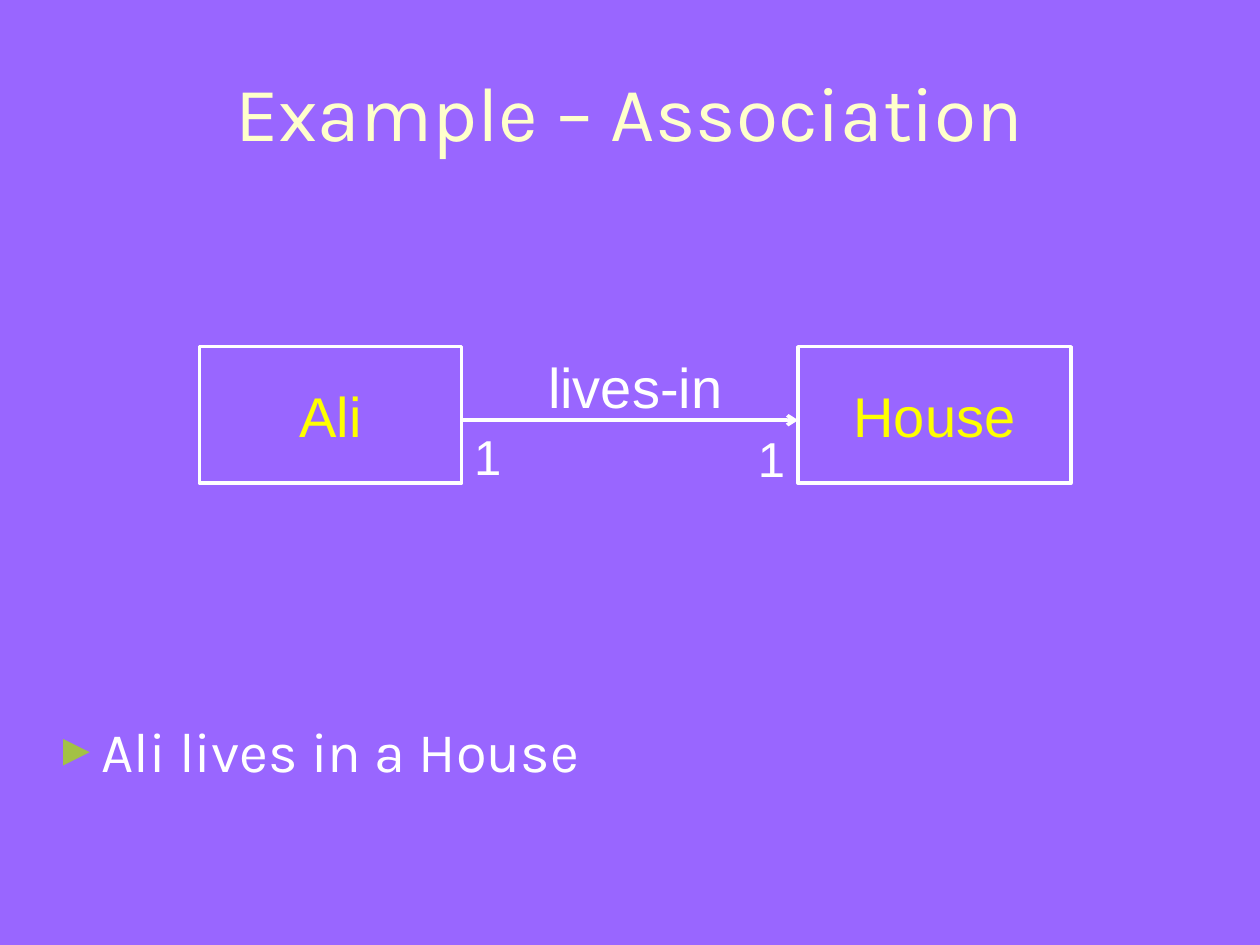
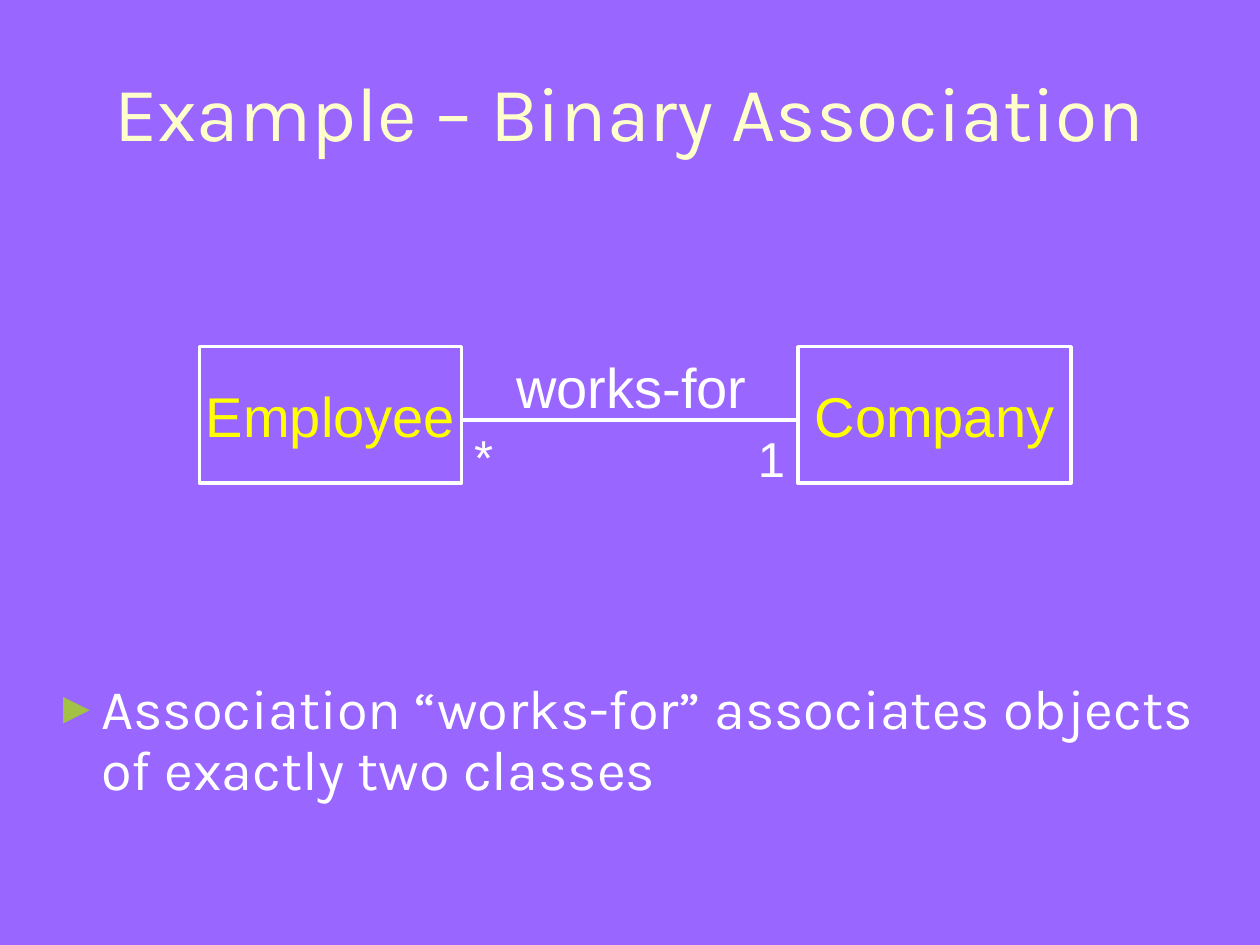
from lxml import etree
from pptx import Presentation
from pptx import util as u
from pptx.dml.color import RGBColor
from pptx.enum import shapes, text
from pptx.oxml import ns

COLORS = {
    "background": "9966FF",
    "title": "FFFFCC",
    "plain": "FFFFFF",
    "class": "FFFF00",
    "bullet": "A3C145",
}
FORMATS = {
    "title": {"name": "Karla", "size": u.Pt(44)},
    "body": {"name": "Karla", "size": u.Pt(32)},
    "label": {"name": "Arial", "size": u.Pt(32)},
    "multiplicity": {"name": "Arial", "size": u.Pt(28)},
}
MARGIN, CONTENT_WIDTH = 0.84, 23.72
BOX_TOP, BOX_HEIGHT = 6.99, 2.75
LEFT_BOX, LEFT_WIDTH = 4.02, 5.29
RIGHT_BOX, RIGHT_WIDTH = 16.09, 5.5
LINE_START, LINE_Y = LEFT_BOX + LEFT_WIDTH, 8.47

DIAGRAMS = [
    {
        "title": "Example – Association",
        "classes": ("Ali", "House"),
        "association": ("lives-in", 10.8, 4.02),
        "multiplicities": ("1", "1"),
        "arrow": True,
        "body": ("Ali lives in a House", 14.32, 1.68, 1.0),
    },
    {
        "title": "Example – Binary Association",
        "classes": ("Employee", "Company"),
        "association": ("works-for", 10.16, 5.29),
        "multiplicities": ("*", "1"),
        "arrow": False,
        "body": ("Association “works-for” associates objects of exactly two classes",
                 13.61, 2.82, 0.9),
    },
]


def place(shape, left, top, width, height):
    bounds = {"left": left, "top": top, "width": width, "height": height}
    for name, value in bounds.items():
        setattr(shape, name, u.Cm(value))


def write(shape, words, style, color, **frame_values):
    """Put one formatted paragraph into a shape and return the paragraph."""
    frame = shape.text_frame
    frame.text = words
    settings = {"word_wrap": True, "auto_size": text.MSO_AUTO_SIZE.NONE,
                "vertical_anchor": text.MSO_ANCHOR.TOP, **frame_values}
    for name, value in settings.items():
        setattr(frame, name, value)
    paragraph = frame.paragraphs[0]
    paragraph.space_before = u.Pt(0)
    font = paragraph.runs[0].font
    for name, value in FORMATS[style].items():
        setattr(font, name, value)
    font.color.rgb = RGBColor.from_string(COLORS[color])
    return paragraph


presentation = Presentation()
presentation.slide_width, presentation.slide_height = u.Cm(25.4), u.Cm(19.05)
background = presentation.slide_master.background.fill
background.solid()
background.fore_color.rgb = RGBColor.from_string(COLORS["background"])
white = RGBColor.from_string(COLORS["plain"])

for diagram in DIAGRAMS:
    slide = presentation.slides.add_slide(presentation.slide_layouts[1])

    title = slide.shapes.title
    place(title, MARGIN, 0.64, CONTENT_WIDTH, 3.18)
    paragraph = write(title, diagram["title"], "title", "title",
                      vertical_anchor=text.MSO_ANCHOR.MIDDLE)
    paragraph.alignment = text.PP_ALIGN.CENTER

    body = slide.placeholders[1]
    words, top, height, line_spacing = diagram["body"]
    place(body, MARGIN, top, CONTENT_WIDTH, height)
    paragraph = write(body, words, "body", "plain")
    paragraph.line_spacing = line_spacing
    properties = paragraph._p.get_or_add_pPr()
    properties.set("marL", str(u.Cm(0.95)))
    properties.set("indent", str(u.Cm(-0.95)))
    bullet_color = etree.SubElement(properties, ns.qn("a:buClr"))
    etree.SubElement(bullet_color, ns.qn("a:srgbClr"), val=COLORS["bullet"])
    etree.SubElement(properties, ns.qn("a:buSzPct"), val="80000")
    etree.SubElement(properties, ns.qn("a:buFont"), typeface="Arial")
    etree.SubElement(properties, ns.qn("a:buChar"), char="►")

    columns = ((LEFT_BOX, LEFT_WIDTH), (RIGHT_BOX, RIGHT_WIDTH))
    for class_name, (left, width) in zip(diagram["classes"], columns):
        box = slide.shapes.add_shape(
            shapes.MSO_SHAPE.RECTANGLE,
            u.Cm(left), u.Cm(BOX_TOP), u.Cm(width), u.Cm(BOX_HEIGHT))
        box.shadow.inherit = False
        box.fill.background()
        box.line.color.rgb = white
        box.line.width = u.Pt(2)
        paragraph = write(box, class_name, "label", "class", word_wrap=False,
                          vertical_anchor=text.MSO_ANCHOR.MIDDLE)
        paragraph.alignment = text.PP_ALIGN.CENTER

    # The line runs slightly below the middle of the boxes, so it is not joined.
    line = slide.shapes.add_connector(
        shapes.MSO_CONNECTOR.STRAIGHT,
        u.Cm(LINE_START), u.Cm(LINE_Y), u.Cm(RIGHT_BOX), u.Cm(LINE_Y))
    line.line.color.rgb = white
    line.line.width = u.Pt(2)
    if diagram["arrow"]:
        etree.SubElement(line.line._get_or_add_ln(), ns.qn("a:tailEnd"), type="arrow")
    etree.SubElement(line._element.spPr, ns.qn("a:effectLst"))

    association, left, width = diagram["association"]
    near, far = diagram["multiplicities"]
    labels = (
        (association, "label", (left, BOX_TOP, width, 1.62)),
        (near, "multiplicity", (LINE_START, LINE_Y, 1.06, 1.44)),
        (far, "multiplicity", (15.03, 8.51, 1.06, 1.44)),
    )
    for words, style, bounds in labels:
        label = slide.shapes.add_textbox(*map(u.Cm, bounds))
        write(label, words, style, "plain",
              auto_size=text.MSO_AUTO_SIZE.SHAPE_TO_FIT_TEXT)

presentation.save("out.pptx")
